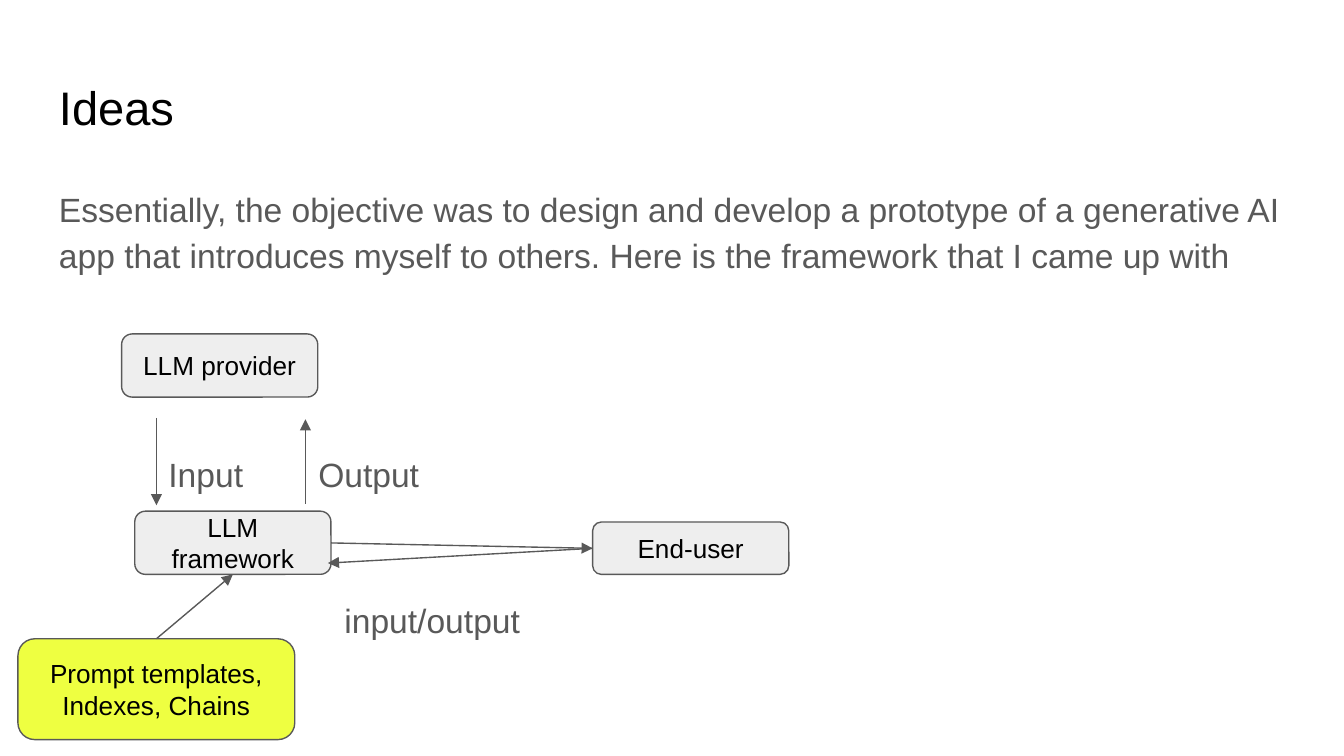
"""Build the Ideas slide: a short text above a diagram of an LLM app."""
from lxml import etree
from pptx import Presentation
from pptx.dml.color import RGBColor
from pptx.enum.shapes import MSO_CONNECTOR, MSO_SHAPE
from pptx.enum.text import MSO_ANCHOR, PP_ALIGN
from pptx.oxml.ns import qn
from pptx.util import Inches, Pt

ROUND = MSO_SHAPE.ROUNDED_RECTANGLE
LINE = MSO_CONNECTOR.STRAIGHT
MID, TOP = MSO_ANCHOR.MIDDLE, MSO_ANCHOR.TOP
LEFT, MIDDLE = PP_ALIGN.LEFT, PP_ALIGN.CENTER
CELL = Inches(0.1)
COLS, ROWS = 100, 56.25
BLACK, GRAY, PALE, LIME = "000000", "595959", "EEEEEE", "EEFF41"


def tint(code):
    return RGBColor.from_string(code)


def write(shape, words, size, shade, align, anchor, space):
    frame = shape.text_frame
    frame.word_wrap = True
    frame.vertical_anchor = anchor
    frame.margin_left = frame.margin_right = CELL
    frame.margin_top = frame.margin_bottom = CELL
    para = frame.paragraphs[0]
    para.alignment = align
    para.line_spacing = space
    run = para.add_run()
    run.text = words
    run.font.name = "Arial"
    run.font.size = Pt(size)
    run.font.color.rgb = tint(shade)


deck = Presentation()
deck.slide_width = int(COLS * CELL)
deck.slide_height = int(ROWS * CELL)
slide = deck.slides.add_slide(deck.slide_layouts[6])
shapes = slide.shapes

edge = 3.41
wide = COLS - 2 * edge
story = ("Essentially, the objective was to design and develop a prototype of a "
         "generative AI app that introduces myself to others. "
         "Here is the framework that I came up with")
texts = [
    ("Ideas", edge, 4.87, wide, 6.3, 25.2, BLACK, 1),
    (story, edge, 12.6, wide, 37.4, 18, GRAY, 1.15),
    ("Input", 11.55, 32.8, 9.6, 3.1, 18, GRAY, 1),
    ("Output", 22.7, 32.8, 9.6, 3.1, 18, GRAY, 1),
    ("input/output", 24.64, 43.65, 17.2, 3.1, 18, GRAY, 1),
]
for words, x, y, w, h, size, shade, space in texts:
    box = shapes.add_textbox(*(int(n * CELL) for n in (x, y, w, h)))
    write(box, words, size, shade, LEFT, TOP, space)

nodes = [
    ("LLM provider", 9.05, 24.85, 14.6, 4.7, PALE),
    ("LLM framework", 10.03, 38.04, 14.6, 4.7, PALE),
    ("End-user", 44.1, 38.84, 14.6, 3.9, PALE),
    ("Prompt templates, Indexes, Chains", 1.34, 47.53, 20.6, 7.5, LIME),
]
for words, x, y, w, h, fill in nodes:
    node = shapes.add_shape(ROUND, *(int(n * CELL) for n in (x, y, w, h)))
    node.shadow.inherit = False
    node.fill.solid()
    node.fill.fore_color.rgb = tint(fill)
    node.line.color.rgb = tint(GRAY)
    node.line.width = Pt(0.75)
    write(node, words, 14, BLACK, MIDDLE, MID, 1)

links = [
    (11.64, 31.1, 11.64, 37.6),
    (22.73, 37.5, 22.73, 31.2),
    (24.63, 40.4, 44.1, 40.8),
    (44.1, 40.8, 24.4, 41.9),
    (11.64, 47.53, 17.33, 42.74),
]
for ends in links:
    link = shapes.add_connector(LINE, *(int(n * CELL) for n in ends))
    link.line.color.rgb = tint(GRAY)
    link.line.width = Pt(0.75)
    props = link.element.spPr
    etree.SubElement(props.find(qn("a:ln")), qn("a:tailEnd"), type="triangle")
    etree.SubElement(props, qn("a:effectLst"))

deck.save("out.pptx")
